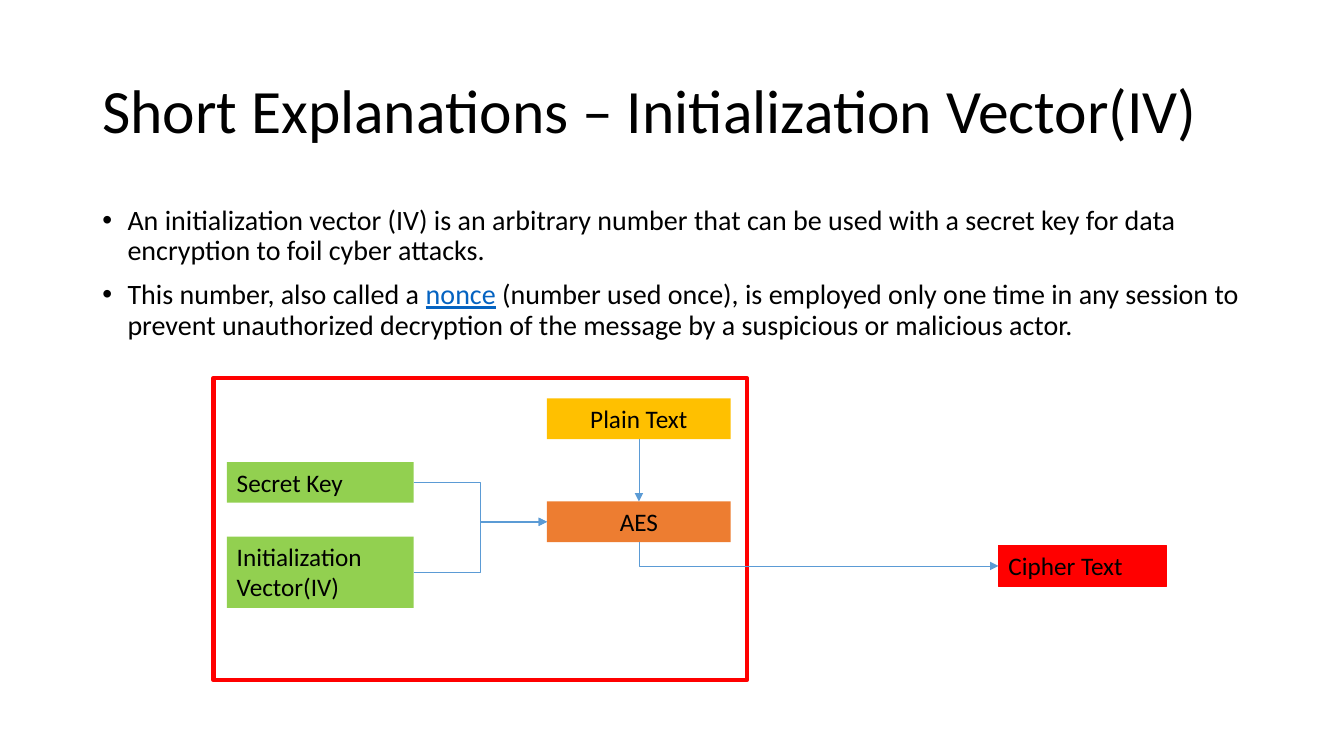
from pptx import Presentation
from pptx.dml.color import RGBColor
from pptx.enum.shapes import MSO_CONNECTOR, MSO_SHAPE
from pptx.enum.text import MSO_ANCHOR, PP_ALIGN
from pptx.oxml.ns import qn
from pptx.util import Inches, Pt
from lxml import etree

RECT = MSO_SHAPE.RECTANGLE
ELBOW, DIRECT = MSO_CONNECTOR.ELBOW, MSO_CONNECTOR.STRAIGHT
LEFT, MID = PP_ALIGN.LEFT, PP_ALIGN.CENTER
CENTER = MSO_ANCHOR.MIDDLE
WIDTH, HEIGHT = Inches(13.333), Inches(7.5)
COLS, ROWS = 64, 36
FONT = "Calibri"
BLACK, RED, GREEN, BLUE = "000000", "FF0000", "92D050", "5B9BD5"
UP, WEST, DOWN, EAST = range(4)
ROW = 1.94

POINTS = [
    [("An initialization vector (IV) is an arbitrary number that can be used "
      "with a secret key for data encryption to foil cyber attacks.", False)],
    [("This number, also called a\u00a0", False),
     ("nonce", True),
     ("\u00a0(number used once), is employed only one time in any session to "
      "prevent unauthorized decryption of the message by a suspicious or "
      "malicious actor.", False)],
]


def color(code):
    return RGBColor.from_string(code)


def place(x, y, w, h):
    return (round(x * WIDTH / COLS), round(y * HEIGHT / ROWS),
            round(w * WIDTH / COLS), round(h * HEIGHT / ROWS))


def add_run(para, text, size, hue=BLACK, under=False):
    run = para.add_run()
    run.text = text
    run.font.name = FONT
    run.font.size = Pt(size)
    run.font.color.rgb = color(hue)
    run.font.underline = under


def add_title(slide, text, cell):
    frame = slide.shapes.add_textbox(*place(*cell)).text_frame
    frame.word_wrap = True
    frame.vertical_anchor = CENTER
    para = frame.paragraphs[0]
    para.line_spacing = 0.9
    add_run(para, text, 44)


def add_points(slide, points, cell):
    frame = slide.shapes.add_textbox(*place(*cell)).text_frame
    frame.word_wrap = True
    for i, parts in enumerate(points):
        para = frame.add_paragraph() if i else frame.paragraphs[0]
        para.line_spacing = 0.9
        para.space_before = Pt(10)
        props = para._p.get_or_add_pPr()
        props.set("marL", str(Inches(0.25)))
        props.set("indent", str(-Inches(0.25)))
        etree.SubElement(props, qn("a:buFont"), typeface="Arial")
        etree.SubElement(props, qn("a:buChar"), char="•")
        for text, term in parts:
            add_run(para, text, 20, "0563C1" if term else BLACK, term)


def add_rect(slide, cell, fill=None, line=None, weight=0.75):
    rect = slide.shapes.add_shape(RECT, *place(*cell))
    rect.shadow.inherit = False
    if fill:
        rect.fill.solid()
        rect.fill.fore_color.rgb = color(fill)
    else:
        rect.fill.background()
    if line:
        rect.line.color.rgb = color(line)
        rect.line.width = Pt(weight)
    else:
        rect.line.fill.background()
    return rect


def add_label(slide, text, cell, fill, align=LEFT, line=None):
    rect = add_rect(slide, cell, fill, line)
    frame = rect.text_frame
    frame.word_wrap = True
    frame.vertical_anchor = MSO_ANCHOR.TOP
    para = frame.paragraphs[0]
    para.alignment = align
    add_run(para, text, 18)
    return rect


def add_link(slide, start, out, end, into, kind=ELBOW):
    link = slide.shapes.add_connector(kind, 0, 0, 0, 0)
    link.begin_connect(start, out)
    link.end_connect(end, into)
    link.line.color.rgb = color(BLUE)
    link.line.width = Pt(0.5)
    props = link._element.spPr
    etree.SubElement(link.line._get_or_add_ln(), qn("a:tailEnd"), type="triangle")
    etree.SubElement(props, qn("a:effectLst"))
    return link


def turn_once(link):
    x, y, w, h = link.left, link.top, link.width, link.height
    link.left, link.top = x + (w - h) // 2, y + (h - w) // 2
    link.width, link.height = h, w
    props = link._element.spPr
    frame = props.find(qn("a:xfrm"))
    frame.set("rot", "16200000")
    frame.set("flipH", "1")
    props.find(qn("a:prstGeom")).set("prst", "bentConnector2")


def add_flow(slide):
    key = add_label(slide, "Secret Key", (10.8, 22, 8.9, ROW), GREEN)
    vector = add_label(slide, "Initialization Vector(IV)",
                       (10.8, 25.55, 8.9, 3.4), GREEN)
    plain = add_label(slide, "Plain Text", (26.05, 18.97, 8.75, ROW), "FFC000", MID)
    aes = add_label(slide, "AES", (26.05, 23.88, 8.75, ROW), "ED7D31", MID)
    cipher = add_label(slide, "Cipher Text", (47.55, 25.98, 8, ROW), RED, line=RED)
    for source in (key, vector):
        add_link(slide, source, EAST, aes, WEST)
    add_link(slide, plain, DOWN, aes, UP, DIRECT)
    add_rect(slide, (10.17, 18, 25.4, 14.4), line=RED, weight=3)
    turn_once(add_link(slide, aes, DOWN, cipher, WEST))


def main():
    deck = Presentation()
    deck.slide_width, deck.slide_height = WIDTH, HEIGHT
    slide = deck.slides.add_slide(deck.slide_layouts[6])
    add_title(slide, "Short Explanations – Initialization Vector(IV)",
              (4.4, 1.92, 55.2, 6.96))
    add_points(slide, POINTS, (4.4, 9.58, 55.2, 22.85))
    add_flow(slide)
    deck.save("out.pptx")


if __name__ == "__main__":
    main()
